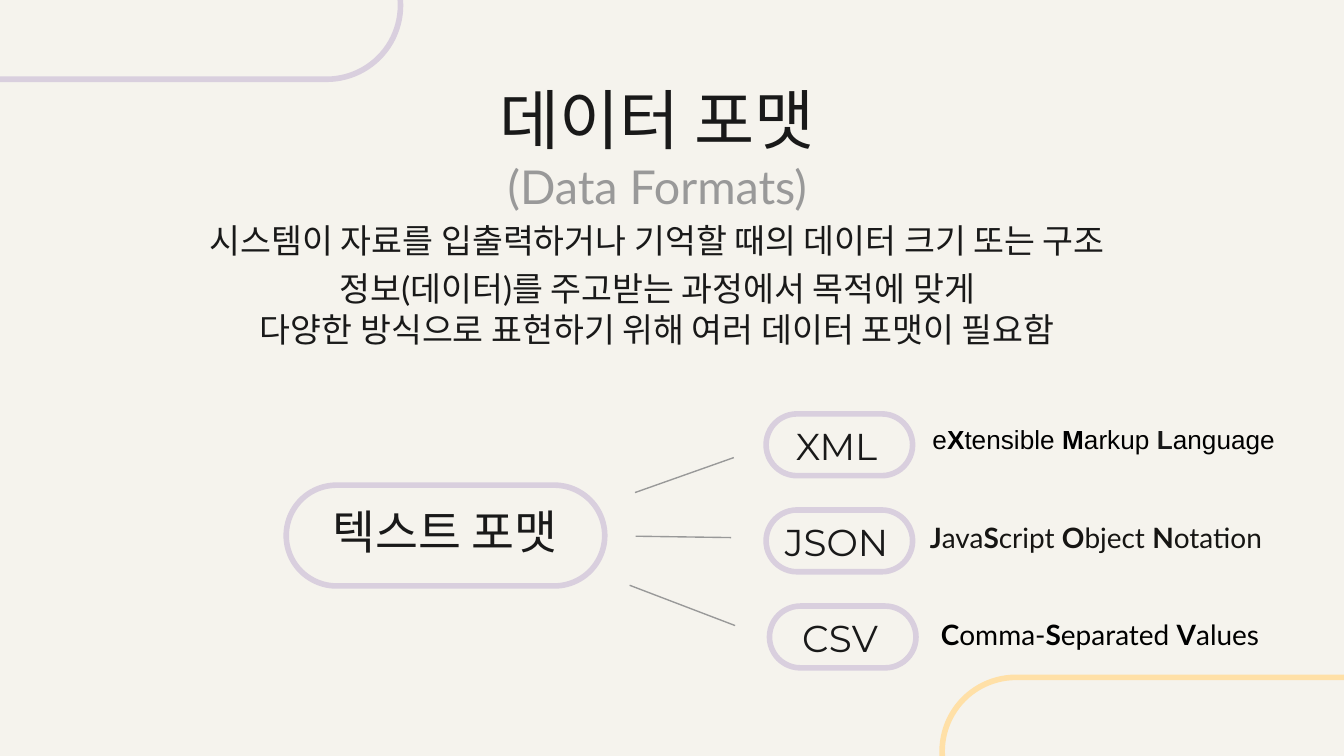
from dataclasses import dataclass

from lxml.etree import SubElement
from pptx import Presentation
from pptx.dml.color import RGBColor
from pptx.enum.shapes import MSO_AUTO_SHAPE_TYPE as ShapeType, MSO_CONNECTOR as Connector
from pptx.enum.text import MSO_ANCHOR as Anchor, PP_ALIGN as Align
from pptx.oxml.ns import qn
from pptx.slide import Slide
from pptx.text.text import TextFrame
from pptx.util import Emu, Pt

PX = 4572
SLIDE_WIDTH, SLIDE_HEIGHT = 2000, 1125
INSET = 20


@dataclass(frozen=True)
class Theme:
    background: str = "F5F3ED"
    lilac: str = "D9CFDE"
    yellow: str = "FFE0A7"
    ink: str = "191919"
    dark: str = "161513"
    black: str = "000000"
    gray: str = "999999"
    title_size: int = 35
    heading_size: int = 25
    label_size: int = 20
    body_size: int = 18
    note_size: int = 15
    small_size: int = 14
    outline: float = 3
    branch: float = 0.75


THEME = Theme()


@dataclass(frozen=True)
class Box:
    left: int
    top: int
    width: int
    height: int

    def emu(self) -> tuple[Emu, ...]:
        return tuple(Emu(v * PX) for v in (self.left, self.top, self.width, self.height))


@dataclass(frozen=True)
class Style:
    size: int
    color: str = THEME.ink
    font: str = "Lato"


@dataclass(frozen=True)
class Pill:
    box: Box
    color: str = THEME.lilac


@dataclass(frozen=True)
class Branch:
    start: tuple[int, int]
    end: tuple[int, int]


@dataclass(frozen=True)
class Format:
    name: str
    left: int
    top: int
    description: str
    description_box: Box
    style: Style
    align: Align = Align.LEFT
    tinted: str = ""


CORNERS = (
    Pill(Box(-286, -102, 882, 220)),
    Pill(Box(1402, 1008, 882, 220), THEME.yellow),
)
TEXT_FORMAT = Pill(Box(426, 722, 474, 150))
BRANCHES = (
    Branch((945, 733), (1092, 681)),
    Branch((946, 798), (1088, 800)),
    Branch((937, 871), (1094, 931)),
)
FORMATS = (
    Format("XML", 1140, 616, "e|X|tensible |M|arkup |L|anguage",
           Box(1368, 610, 646, 98), Style(THEME.small_size, THEME.black, "Arial"),
           tinted="L"),
    Format("JSON", 1140, 759, "|J|ava|S|cript |O|bject |N|otation",
           Box(1364, 755, 546, 98), Style(THEME.note_size, THEME.dark)),
    Format("CSV", 1145, 902, "|C|omma-|S|eparated |V|alues",
           Box(1364, 899, 546, 98), Style(THEME.note_size, THEME.black), Align.CENTER),
)


def draw_pill(slide: Slide, pill: Pill) -> None:
    shape = slide.shapes.add_shape(ShapeType.ROUNDED_RECTANGLE, *pill.box.emu())
    shape.adjustments[0] = 0.5
    shape.shadow.inherit = False
    shape.fill.background()
    shape.line.color.rgb = RGBColor.from_string(pill.color)
    shape.line.width = Pt(THEME.outline)


def draw_branch(slide: Slide, branch: Branch) -> None:
    points = (Emu(v * PX) for v in (*branch.start, *branch.end))
    connector = slide.shapes.add_connector(Connector.STRAIGHT, *points)
    connector.line.color.rgb = RGBColor.from_string(THEME.gray)
    connector.line.width = Pt(THEME.branch)
    SubElement(connector.element.spPr, qn("a:effectLst"))


def add_text_frame(slide: Slide, box: Box) -> TextFrame:
    frame = slide.shapes.add_textbox(*box.emu()).text_frame
    frame.word_wrap = True
    frame.vertical_anchor = Anchor.TOP
    frame.margin_left = frame.margin_right = Emu(INSET * PX)
    frame.margin_top = frame.margin_bottom = Emu(INSET * PX)
    return frame


def apply_style(font, style: Style) -> None:
    font.name = style.font
    font.size = Pt(style.size)
    font.color.rgb = RGBColor.from_string(style.color)


def draw_text(slide: Slide, box: Box, text: str, *styles: Style) -> TextFrame:
    frame = add_text_frame(slide, box)
    frame.text = text
    for index, paragraph in enumerate(frame.paragraphs):
        paragraph.alignment = Align.CENTER
        style = styles[min(index, len(styles) - 1)]
        for run in paragraph.runs:
            apply_style(run.font, style)
    return frame


def draw_description(slide: Slide, item: Format) -> None:
    paragraph = add_text_frame(slide, item.description_box).paragraphs[0]
    paragraph.alignment = item.align
    for index, part in enumerate(item.description.split("|")):
        if part:
            run = paragraph.add_run()
            run.text = part
            apply_style(run.font, item.style)
            run.font.bold = index % 2 == 1
            if part == item.tinted:
                run.font.color.rgb = RGBColor.from_string(THEME.ink)


def draw_format(slide: Slide, item: Format) -> None:
    draw_pill(slide, Pill(Box(item.left, item.top, 218, 92)))
    label_box = Box(item.left - 19, item.top - 6, 248, 98)
    draw_text(slide, label_box, item.name, Style(THEME.label_size, font="Montserrat"))
    draw_description(slide, item)


def main() -> None:
    presentation = Presentation()
    presentation.slide_width = Emu(SLIDE_WIDTH * PX)
    presentation.slide_height = Emu(SLIDE_HEIGHT * PX)
    slide = presentation.slides.add_slide(presentation.slide_layouts[6])
    slide.background.fill.solid()
    slide.background.fill.fore_color.rgb = RGBColor.from_string(THEME.background)

    for corner in CORNERS:
        draw_pill(slide, corner)

    draw_text(slide, Box(0, 98, 1956, 232), "데이터 포맷\n(Data Formats)",
              Style(THEME.title_size), Style(THEME.heading_size, THEME.gray))
    body = draw_text(
        slide, Box(0, 302, 1956, 286),
        "시스템이 자료를 입출력하거나 기억할 때의 데이터 크기 또는 구조\n"
        "정보(데이터)를 주고받는 과정에서 목적에 맞게\n"
        "다양한 방식으로 표현하기 위해 여러 데이터 포맷이 필요함",
        Style(THEME.body_size))
    body.paragraphs[0].line_spacing = 1.1
    body.paragraphs[1].space_before = Pt(4)

    draw_pill(slide, TEXT_FORMAT)
    draw_text(slide, Box(455, 728, 414, 160), "텍스트 포맷", Style(THEME.heading_size))
    for branch in BRANCHES:
        draw_branch(slide, branch)
    for item in FORMATS:
        draw_format(slide, item)

    presentation.save("out.pptx")


if __name__ == "__main__":
    main()
